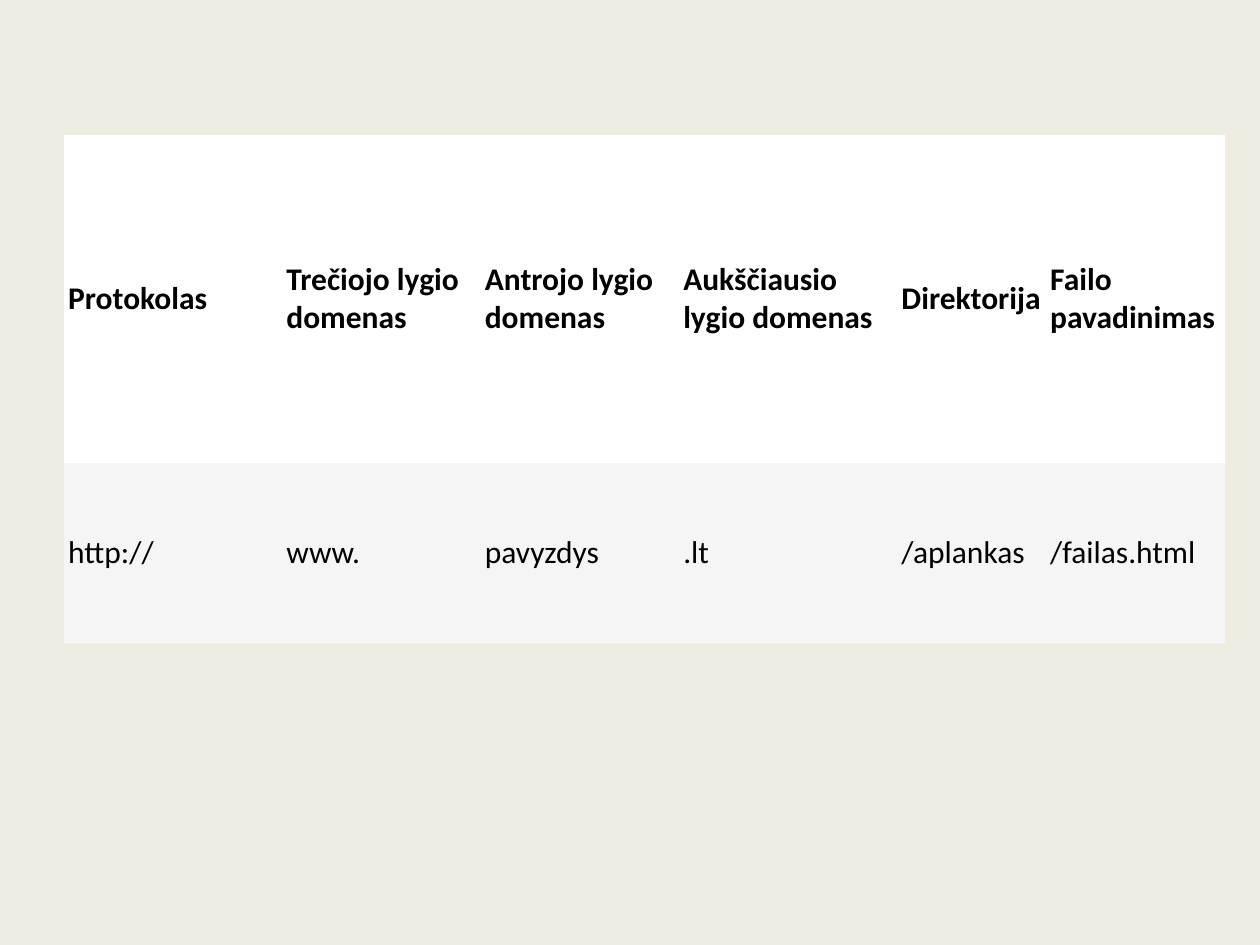
from dataclasses import dataclass

from lxml.etree import SubElement
from pptx import Presentation
from pptx.dml.color import RGBColor
from pptx.enum.text import MSO_ANCHOR
from pptx.oxml.ns import qn
from pptx.slide import Slide
from pptx.table import _Cell
from pptx.util import Pt

COLORS = {
    "background": "EEECE1",
    "heading": "FFFFFF",
    "example": "F5F5F5",
    "text": "000000",
}
FONT = "Calibri"
CELL_MARGIN = Pt(2.4)
TABLE_LEFT, TABLE_TOP = 36.6, 77.1


@dataclass
class AddressPart:
    heading: str
    example: str
    width: float


@dataclass
class RowStyle:
    field: str
    height: float
    bold: bool


ADDRESS_PARTS = [
    AddressPart("Protokolas", "http://", 124.7),
    AddressPart("Trečiojo lygio domenas", "www.", 113.4),
    AddressPart("Antrojo lygio domenas", "pavyzdys", 113.4),
    AddressPart("Aukščiausio lygio domenas", ".lt", 124.7),
    AddressPart("Direktorija", "/aplankas", 85),
    AddressPart("Failo pavadinimas", "/failas.html", 102.2),
]
ROW_STYLES = [
    RowStyle("heading", 187.4, True),
    RowStyle("example", 102.9, False),
]


def remove_borders(cell: _Cell) -> None:
    properties = cell._tc.get_or_add_tcPr()
    for side in ("a:lnL", "a:lnR", "a:lnT", "a:lnB"):
        border = SubElement(properties, qn(side), w="0")
        SubElement(border, qn("a:noFill"))


def write_cell(cell: _Cell, text: str, *, fill: str, bold: bool, size: float = 18) -> None:
    remove_borders(cell)
    cell.fill.solid()
    cell.fill.fore_color.rgb = RGBColor.from_string(fill)
    cell.vertical_anchor = MSO_ANCHOR.MIDDLE
    cell.margin_left = cell.margin_right = CELL_MARGIN
    cell.margin_top = cell.margin_bottom = CELL_MARGIN
    span = cell.text_frame.paragraphs[0].add_run()
    span.text = text
    span.font.name = FONT
    span.font.size = Pt(size)
    span.font.bold = bold
    span.font.color.rgb = RGBColor.from_string(COLORS["text"])


def add_address_table(page: Slide, parts: list[AddressPart], styles: list[RowStyle]) -> None:
    """Draw one column for each part of a web address."""
    width = sum(part.width for part in parts)
    height = sum(style.height for style in styles)
    table = page.shapes.add_table(
        len(styles), len(parts), Pt(TABLE_LEFT), Pt(TABLE_TOP), Pt(width), Pt(height)
    ).table
    table.first_row = False
    table.horz_banding = False
    for column, part in zip(table.columns, parts):
        column.width = Pt(part.width)
    for row, style in zip(table.rows, styles):
        row.height = Pt(style.height)
        for cell, part in zip(row.cells, parts):
            text = getattr(part, style.field)
            write_cell(cell, text, fill=COLORS[style.field], bold=style.bold)


def main() -> None:
    deck = Presentation()
    deck.slide_width, deck.slide_height = Pt(720), Pt(540)
    page = deck.slides.add_slide(deck.slide_layouts[6])
    page.background.fill.solid()
    page.background.fill.fore_color.rgb = RGBColor.from_string(COLORS["background"])
    add_address_table(page, ADDRESS_PARTS, ROW_STYLES)
    deck.save("out.pptx")


if __name__ == "__main__":
    main()
